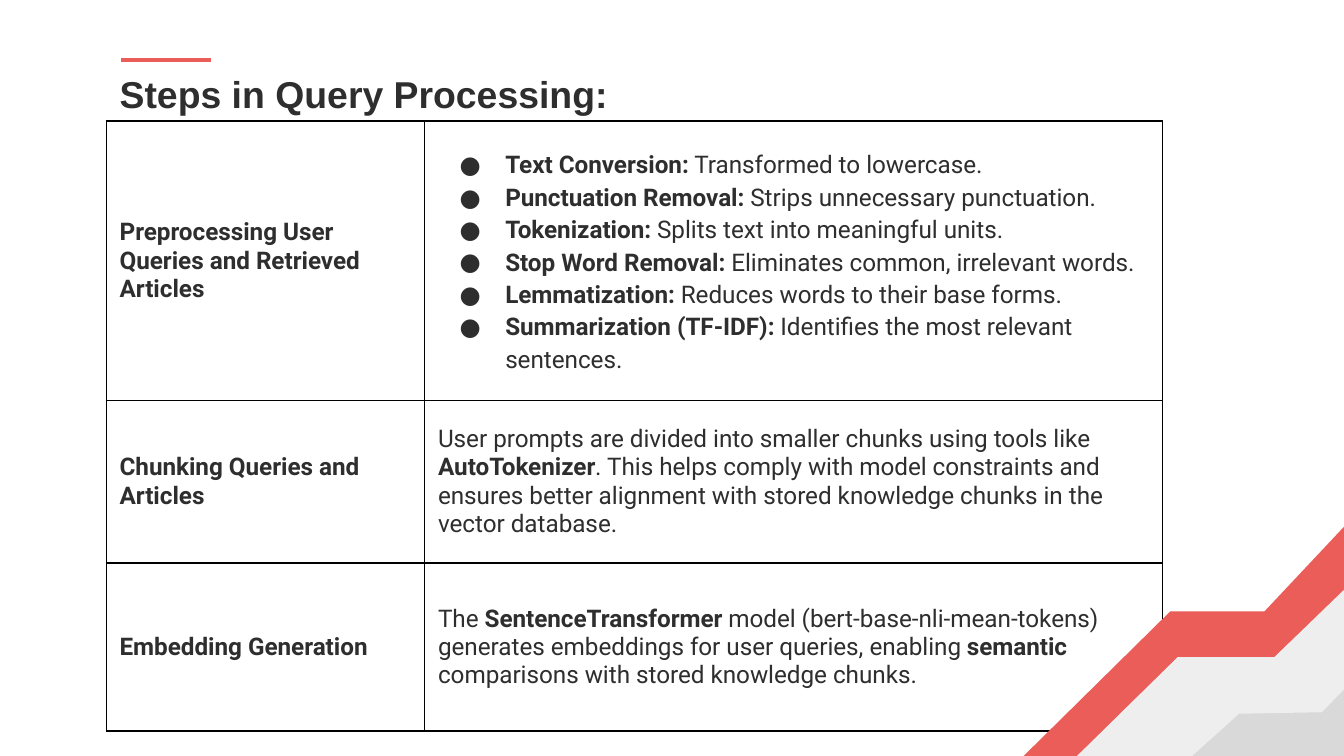
import pptx
import pptx.util
import pptx.oxml
from pptx.dml.color import RGBColor
from pptx.enum.shapes import MSO_CONNECTOR
from pptx.enum.text import MSO_ANCHOR, MSO_AUTO_SIZE, PP_ALIGN

Pt = pptx.util.Pt

# Content: ** switches bold on and off
TITLE = "**Steps in Query Processing:**"
ROWS = [
    ("**Preprocessing User Queries and Retrieved Articles**", [
        "**Text Conversion:** Transformed to lowercase.",
        "**Punctuation Removal:** Strips unnecessary punctuation.",
        "**Tokenization:** Splits text into meaningful units.",
        "**Stop Word Removal:** Eliminates common, irrelevant words.",
        "**Lemmatization:** Reduces words to their base forms.",
        "**Summarization (TF-IDF):** Identifies the most relevant sentences.",
    ]),
    ("**Chunking Queries and Articles**",
     "User prompts are divided into smaller chunks using tools like "
     "**AutoTokenizer**. This helps comply with model constraints and ensures "
     "better alignment with stored knowledge chunks in the vector database."),
    ("**Embedding Generation**",
     "The **SentenceTransformer **model (bert-base-nli-mean-tokens) generates "
     "embeddings for user queries, enabling **semantic **comparisons with "
     "stored knowledge chunks."),
]

THEME = {
    "ink": "2E2E2E", "accent": "EA5D59", "gray": "D9D9D9", "pale": "EEEEEE",
    "border": "000000",
    "title": {"name": "Arial", "size": Pt(20)},
    "body": {"name": "Roboto", "size": Pt(13)},
}

# Layout, in points
SLIDE_W, SLIDE_H = 720, 405
TITLE_BOX = (56.9, 31, 607, 34.6)
TABLE_LEFT, TABLE_TOP = 56.9, 64.8
COL_W = [170.6, 395.3]
ROW_H = [149.8, 87.1, 90]
INSET = 7.2

# Corner ribbons: color and outline, back to front
RIBBONS = [
    ("accent", [(467.3, 511.9), (630, 329), (676.1, 329), (854.6, 139),
                (861.1, 519.1)]),
    ("gray", [(470.2, 536.4), (633.6, 353.5), (679, 353.5), (857.5, 163.4),
              (864, 543.6)]),
    ("pale", [(470.2, 536.4), (633.6, 353.5), (679, 353.5), (873.4, 139),
              (885.6, 167), (701.3, 383), (662.4, 383.8), (513.4, 536.4)]),
]
RIBBON_LEFT = 467.3


def color(key):
    return RGBColor.from_string(THEME[key])


def xml(markup):
    ns = "http://schemas.openxmlformats.org/drawingml/2006/main"
    return pptx.oxml.parse_xml(markup.replace(" ", f' xmlns:a="{ns}" ', 1))


def write(p, text, style):
    p.alignment = PP_ALIGN.LEFT
    for i, part in enumerate(text.split("**")):
        if part:
            r = p.add_run()
            r.text = part
            for name, value in {**THEME[style], "bold": i % 2 == 1}.items():
                setattr(r.font, name, value)
            r.font.color.rgb = color("ink")


def make_bullet(p, first):
    p.line_spacing = 1.15
    p.space_before = Pt(12 if first else 0)
    pPr = p._p.get_or_add_pPr()
    pPr.set("marL", str(Pt(36)))
    pPr.set("indent", str(Pt(-24.5)))
    pPr.append(xml(f'<a:buClr ><a:srgbClr val="{THEME["ink"]}"/></a:buClr>'))
    pPr.append(xml('<a:buFont typeface="Roboto"/>'))
    pPr.append(xml('<a:buChar char="●"/>'))


def add_ribbons(s, left, stretch, rise):
    for key, outline in RIBBONS:
        pts = [(Pt(left + (x - RIBBON_LEFT) * stretch), Pt(y - rise))
               for x, y in outline]
        builder = s.shapes.build_freeform(*pts[0])
        builder.add_line_segments(pts[1:], close=True)
        sp = builder.convert_to_shape()
        sp.shadow.inherit = False
        sp.fill.solid()
        sp.fill.fore_color.rgb = color(key)
        sp.line.fill.background()


def fill_cell(cell, content):
    cell.vertical_anchor = MSO_ANCHOR.MIDDLE
    for name, value in {"left": INSET, "right": INSET, "top": 0, "bottom": 0}.items():
        setattr(cell, f"margin_{name}", Pt(value))
    tcPr = cell._tc.get_or_add_tcPr()
    for side in "LRTB":
        tcPr.append(xml(f'<a:ln{side} w="{Pt(0.75)}"><a:solidFill><a:srgbClr '
                        f'val="{THEME["border"]}"/></a:solidFill></a:ln{side}>'))
    cell.fill.background()
    tf = cell.text_frame
    bulleted = isinstance(content, list)
    for i, text in enumerate(content if bulleted else [content]):
        p = tf.add_paragraph() if i else tf.paragraphs[0]
        write(p, text, "body")
        if bulleted:
            make_bullet(p, i == 0)


prs = pptx.Presentation()
prs.slide_width, prs.slide_height = Pt(SLIDE_W), Pt(SLIDE_H)
s = prs.slides.add_slide(prs.slide_layouts[5])

# Title
title = s.shapes.title
title.left, title.top, title.width, title.height = map(Pt, TITLE_BOX)
tf = title.text_frame
for name, value in {"word_wrap": True, "auto_size": MSO_AUTO_SIZE.NONE,
                    "vertical_anchor": MSO_ANCHOR.TOP}.items():
    setattr(tf, name, value)
for side in ("left", "right", "top", "bottom"):
    setattr(tf, f"margin_{side}", Pt(INSET))
write(tf.paragraphs[0], TITLE, "title")

# Background ribbons and accent rule
add_ribbons(s, RIBBON_LEFT, 1, 0)
rule = s.shapes.add_connector(MSO_CONNECTOR.STRAIGHT, Pt(65), Pt(32.2), Pt(113), Pt(32.2))
rule.line.color.rgb = color("accent")
rule.line.width = Pt(2.25)
rule._element.spPr.append(xml("<a:effectLst />"))

# Steps table
frame = s.shapes.add_table(len(ROWS), len(COL_W), Pt(TABLE_LEFT), Pt(TABLE_TOP),
                           Pt(sum(COL_W)), Pt(sum(ROW_H)))
table = frame.table
table.first_row = table.horz_banding = False
for column, width in zip(table.columns, COL_W):
    column.width = Pt(width)
for row, height, contents in zip(table.rows, ROW_H, ROWS):
    row.height = Pt(height)
    for cell, content in zip(row.cells, contents):
        fill_cell(cell, content)

# Wider ribbons over the table corner
add_ribbons(s, 441.4, 1.14, 1.4)

prs.save("out.pptx")
